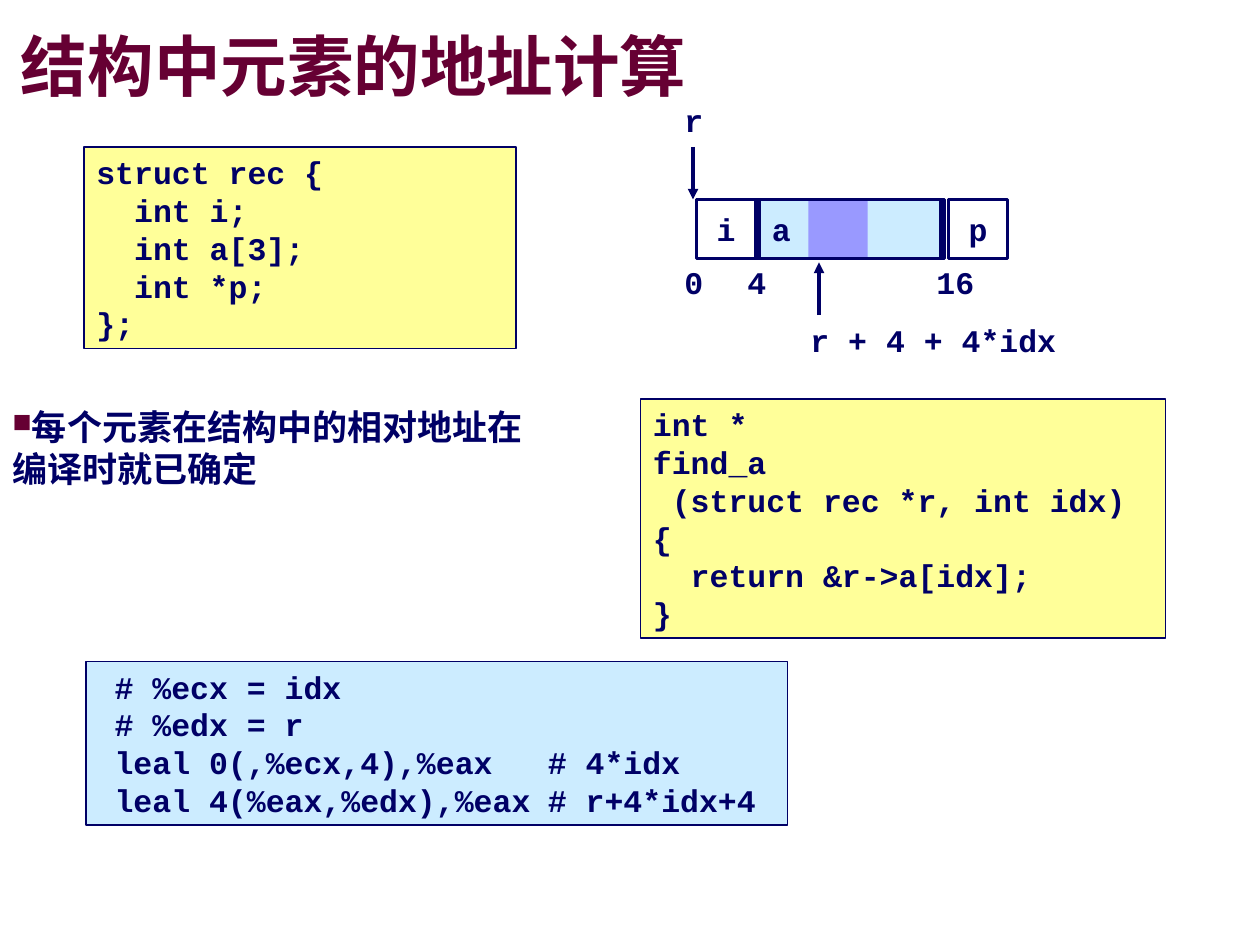
from pptx import Presentation
from pptx.dml.color import RGBColor
from pptx.enum.shapes import MSO_CONNECTOR as Connector, MSO_SHAPE as Shape
from pptx.enum.text import MSO_ANCHOR as Anchor, MSO_AUTO_SIZE as AutoSize, PP_ALIGN as Align
from pptx.oxml import parse_xml
from pptx.oxml.ns import nsdecls
from pptx.util import Pt

COLORS = {
    "navy": "000066", "maroon": "660033", "yellow": "FFFF99",
    "sky": "CCECFF", "violet": "9999FF", "white": "FFFFFF", "shadow": "969696",
}
CODE = {"name": "Courier New", "size": Pt(18), "bold": True}
TITLE = {"name": "Arial", "size": Pt(38), "bold": True}
BODY = {"name": "Arial", "size": Pt(20), "bold": True}

STRUCT_CODE = ["struct rec {", "  int i;", "  int a[3];", "  int *p;", "};"]
FIND_CODE = ["int *", "find_a", " (struct rec *r, int idx)", "{",
             "  return &r->a[idx];", "}"]
ASM_CODE = ["\t# %ecx = idx", "\t# %edx = r",
            "\tleal 0(,%ecx,4),%eax\t# 4*idx",
            "\tleal 4(%eax,%edx),%eax\t# r+4*idx+4"]
ASM_TABS = (9.4, 257)

# Memory layout of the struct
CELL_TOP, CELL_SIZE, ARRAY_WIDTH = 114, 33.8, 105.8


def color(name):
    return RGBColor.from_string(COLORS[name])


def xml(tag, attributes="", inner=""):
    return parse_xml(f"<a:{tag} {nsdecls('a')} {attributes}>{inner}</a:{tag}>")


def set_all(target, values):
    for key, value in values.items():
        setattr(target, key, value)


def write(frame, lines, font, ink="navy", align=Align.LEFT, tabs=()):
    """Fill a text frame with one paragraph per line."""
    for number, line in enumerate(lines):
        para = frame.paragraphs[0] if number == 0 else frame.add_paragraph()
        para.alignment = align
        if tabs:
            stops = "".join(f'<a:tab pos="{Pt(stop)}" algn="l"/>' for stop in tabs)
            para._p.get_or_add_pPr().append(xml("tabLst", inner=stops))
        span = para.add_run()
        span.text = line
        set_all(span.font, font)
        span.font.color.rgb = color(ink)


def add_rect(page, left, top, width, height, fill=None, line=None):
    box = page.shapes.add_shape(Shape.RECTANGLE, Pt(left), Pt(top), Pt(width), Pt(height))
    box.shadow.inherit = False
    if fill:
        box.fill.solid()
        box.fill.fore_color.rgb = color(fill)
    else:
        box.fill.background()
    if line:
        box.line.color.rgb = color("navy")
        box.line.width = Pt(line)
    else:
        box.line.fill.background()
    return box


def add_code(page, left, top, width, height, fill, lines, tabs=()):
    frame = add_rect(page, left, top, width, height, fill, 1).text_frame
    set_all(frame, {"word_wrap": True, "vertical_anchor": Anchor.TOP})
    write(frame, lines, CODE, tabs=tabs)


def add_cell(page, left, width, fill, name, align):
    frame = add_rect(page, left, CELL_TOP, width, CELL_SIZE, fill, 2).text_frame
    set_all(frame, {"word_wrap": False, "vertical_anchor": Anchor.MIDDLE})
    write(frame, [name], CODE, align=align)


def add_text(page, left, top, width, height):
    return page.shapes.add_textbox(Pt(left), Pt(top), Pt(width), Pt(height)).text_frame


def add_label(page, left, top, width, text):
    frame = add_text(page, left, top, width, 28.8)
    set_all(frame, {"word_wrap": False, "auto_size": AutoSize.SHAPE_TO_FIT_TEXT})
    write(frame, [text], CODE)


def add_arrow(page, x, start, end):
    arrow = page.shapes.add_connector(Connector.STRAIGHT, Pt(x), Pt(start), Pt(x), Pt(end))
    arrow.line.color.rgb = color("navy")
    arrow.line.width = Pt(2)
    arrow.line._get_or_add_ln().append(xml("tailEnd", 'type="triangle"'))
    arrow._element.spPr.append(xml("effectLst"))


def add_title(page, text):
    frame = add_text(page, 12, 18, 708, 45)
    set_all(frame, {"word_wrap": True, "vertical_anchor": Anchor.MIDDLE, "margin_left": 0,
                    "margin_right": 0, "margin_top": 0, "margin_bottom": 0})
    write(frame, [text], TITLE, "maroon")
    para = frame.paragraphs[0]
    para.line_spacing = 0.87
    shadow = (f'<a:outerShdw dist="{Pt(3)}" dir="2700000">'
              f'<a:srgbClr val="{COLORS["shadow"]}"/></a:outerShdw>')
    fill = para.runs[0].font._element.solidFill
    fill.addnext(xml("effectLst", inner=shadow))


def add_bullet(page, text):
    frame = add_text(page, 0, 228, 309, 142)
    frame.word_wrap = True
    props = frame.paragraphs[0]._p.get_or_add_pPr()
    set_all(props, {"marL": Pt(58.5), "indent": Pt(-19.5)})
    props.append(xml("buClr", inner=f'<a:srgbClr val="{COLORS["maroon"]}"/>'))
    props.append(xml("buSzPct", 'val="75000"'))
    props.append(xml("buChar", 'char="■"'))
    write(frame, [text], BODY)


def main():
    deck = Presentation()
    set_all(deck, {"slide_width": Pt(720), "slide_height": Pt(540)})
    page = deck.slides.add_slide(deck.slide_layouts[6])

    # Code panels
    add_code(page, 48, 84, 247, 115.2, "yellow", STRUCT_CODE)
    add_code(page, 49, 378, 401, 93.6, "sky", ASM_CODE, ASM_TABS)
    add_code(page, 366, 228, 300, 136.8, "yellow", FIND_CODE)

    # Title and bullet
    add_title(page, "结构中元素的地址计算")
    add_bullet(page, "每个元素在结构中的相对地址在编译时就已确定")

    # Struct members, the indexed element and the array outline
    for left, width, fill, name, align in [
        (398, CELL_SIZE, "white", "i", Align.CENTER),
        (434, ARRAY_WIDTH, "sky", "a", Align.LEFT),
        (542, CELL_SIZE, "white", "p", Align.CENTER),
    ]:
        add_cell(page, left, width, fill, name, align)
    add_rect(page, 462, CELL_TOP, CELL_SIZE, CELL_SIZE, "violet")
    add_rect(page, 432, CELL_TOP, ARRAY_WIDTH, CELL_SIZE, line=2)

    # Offsets and pointers
    for left, top, width, text in [
        (384, 147, 25.2, "0"), (420, 147, 25.2, "4"), (528, 147, 36, "16"),
        (384, 54, 25.2, "r"), (456, 180, 154.8, "r + 4 + 4*idx"),
    ]:
        add_label(page, left, top, width, text)
    add_arrow(page, 396, 84, CELL_TOP)
    add_arrow(page, 468, 180, 150)

    deck.save("out.pptx")


if __name__ == "__main__":
    main()
